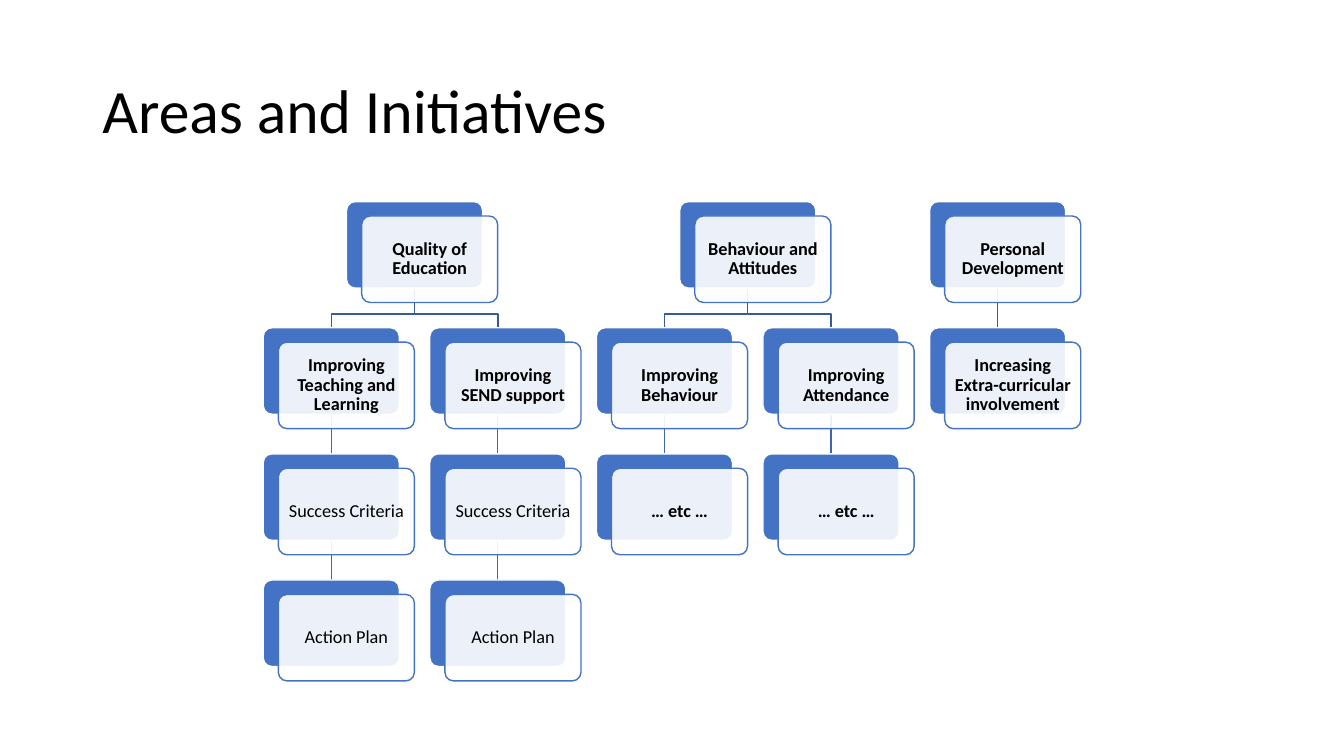
from lxml import etree
from pptx import Presentation
from pptx.dml.color import RGBColor
from pptx.enum import shapes, text
from pptx.oxml.ns import qn
from pptx.util import Pt

COLORS = {
    "card": "4472C4",
    "white": "FFFFFF",
    "black": "000000",
    "area_link": "365B9D",
    "initiative_link": "3E67B2",
}
COLUMN_LEFT, COLUMN_STEP = 188, 119
ROW_TOP, ROW_STEP = 144, 90.1
CARD_WIDTH, CARD_HEIGHT = 97.2, 61.8
FRONT_X, FRONT_Y = 10.8, 10.3
ELBOW_DROP = 18.5

# column, row, label, bold, column of the parent in the row above
CARDS = [
    (0.5, 0, "Quality of Education", True, None),
    (0, 1, "Improving Teaching and Learning", True, 0.5),
    (0, 2, "Success Criteria", False, 0),
    (0, 3, "Action Plan", False, 0),
    (1, 1, "Improving SEND support", True, 0.5),
    (1, 2, "Success Criteria", False, 1),
    (1, 3, "Action Plan", False, 1),
    (2.5, 0, "Behaviour and Attitudes", True, None),
    (2, 1, "Improving Behaviour", True, 2.5),
    (2, 2, "… etc …", True, 2),
    (3, 1, "Improving Attendance", True, 2.5),
    (3, 2, "… etc …", True, 3),
    (4, 0, "Personal Development", True, None),
    (4, 1, "Increasing Extra-curricular involvement", True, 4),
]


def rgb(name):
    return RGBColor.from_string(COLORS[name])


def add_card(left, top, fill, line):
    card = slide.shapes.add_shape(
        shapes.MSO_SHAPE.ROUNDED_RECTANGLE,
        Pt(left), Pt(top), Pt(CARD_WIDTH), Pt(CARD_HEIGHT))
    card.adjustments[0] = 0.1
    card.shadow.inherit = False
    card.fill.solid()
    card.fill.fore_color.rgb = rgb(fill)
    card.line.color.rgb = rgb(line)
    card.line.width = Pt(1)
    return card


presentation = Presentation()
presentation.slide_width, presentation.slide_height = Pt(960), Pt(540)
slide = presentation.slides.add_slide(presentation.slide_layouts[5])

title = slide.shapes.title
title.left, title.top, title.width, title.height = Pt(66), Pt(28.8), Pt(828), Pt(104.4)
title.text_frame.text = "Areas and Initiatives"
title.text_frame.vertical_anchor = text.MSO_ANCHOR.MIDDLE
title.text_frame.auto_size = text.MSO_AUTO_SIZE.NONE
paragraph = title.text_frame.paragraphs[0]
paragraph.alignment = text.PP_ALIGN.LEFT
paragraph.line_spacing = 0.9
paragraph.font.name = "Calibri"
paragraph.font.size = Pt(44)
paragraph.font.color.rgb = rgb("black")

# Links lie behind the cards
for column, row, label, bold, parent in CARDS:
    if parent is None:
        continue
    start_x = COLUMN_LEFT + parent * COLUMN_STEP + CARD_WIDTH / 2
    end_x = COLUMN_LEFT + column * COLUMN_STEP + CARD_WIDTH / 2
    end_y = ROW_TOP + row * ROW_STEP
    start_y = end_y - ROW_STEP + CARD_HEIGHT
    if parent == column:
        link = slide.shapes.add_connector(
            shapes.MSO_CONNECTOR.STRAIGHT,
            Pt(start_x), Pt(start_y), Pt(end_x), Pt(end_y))
        etree.SubElement(link._element.spPr, qn("a:effectLst"))
    else:
        elbow_y = start_y + ELBOW_DROP
        builder = slide.shapes.build_freeform(Pt(start_x), Pt(start_y))
        builder.add_line_segments(
            [(Pt(start_x), Pt(elbow_y)), (Pt(end_x), Pt(elbow_y)), (Pt(end_x), Pt(end_y))],
            close=False)
        link = builder.convert_to_shape()
        link.fill.background()
        link.shadow.inherit = False
    link.line.color.rgb = rgb("area_link" if row == 1 else "initiative_link")
    link.line.width = Pt(1)

for column, row, label, bold, parent in CARDS:
    left = COLUMN_LEFT + column * COLUMN_STEP
    top = ROW_TOP + row * ROW_STEP
    add_card(left, top, "card", "white")
    front = add_card(left + FRONT_X, top + FRONT_Y, "white", "card")
    front_color = front.fill._xPr.find(qn("a:solidFill"))[0]
    etree.SubElement(front_color, qn("a:alpha"), val="90000")

    frame = front.text_frame
    frame.word_wrap = True
    frame.vertical_anchor = text.MSO_ANCHOR.MIDDLE
    frame.margin_left = frame.margin_right = Pt(3.6)
    frame.margin_top = frame.margin_bottom = Pt(3.6)
    frame.text = label
    paragraph = frame.paragraphs[0]
    paragraph.alignment = text.PP_ALIGN.CENTER
    paragraph.line_spacing = 0.9
    paragraph.space_after = Pt(4.55)
    paragraph.font.name = "Calibri"
    paragraph.font.size = Pt(13)
    paragraph.font.bold = bold
    paragraph.font.color.rgb = rgb("black")

presentation.save("out.pptx")
